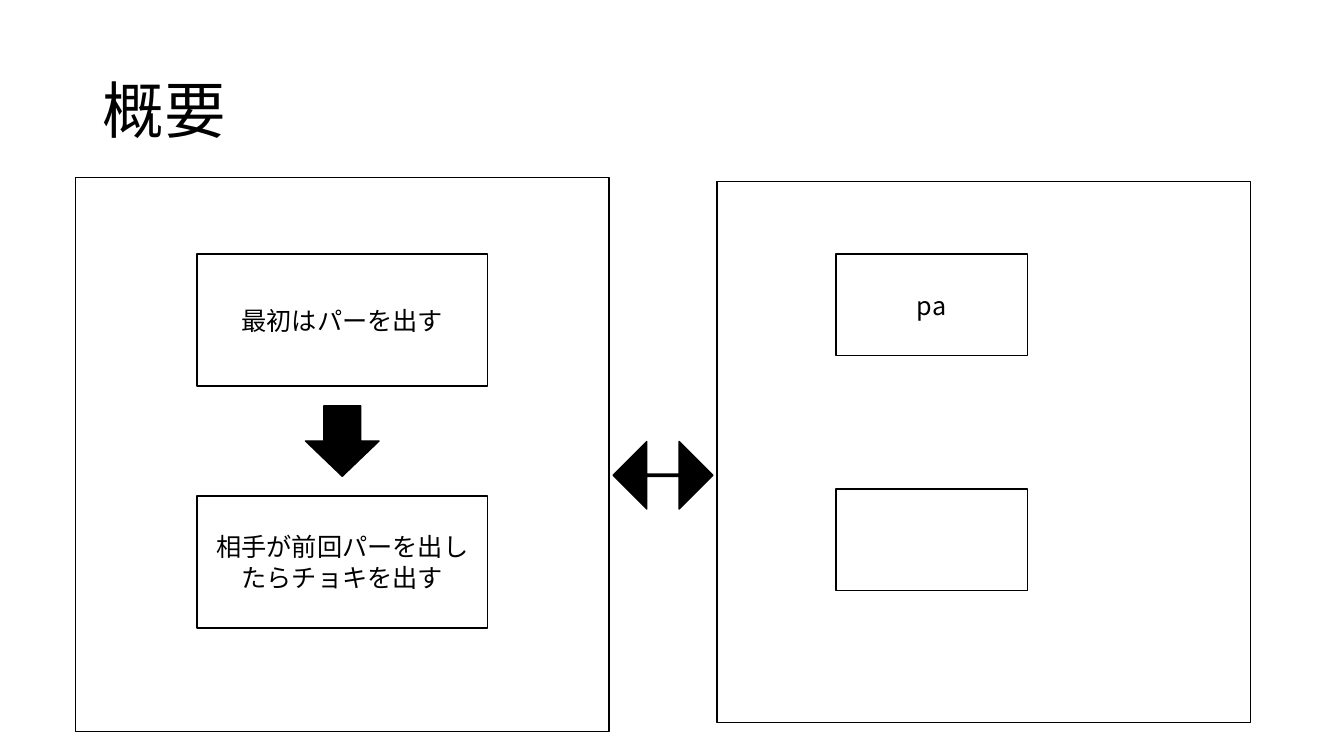
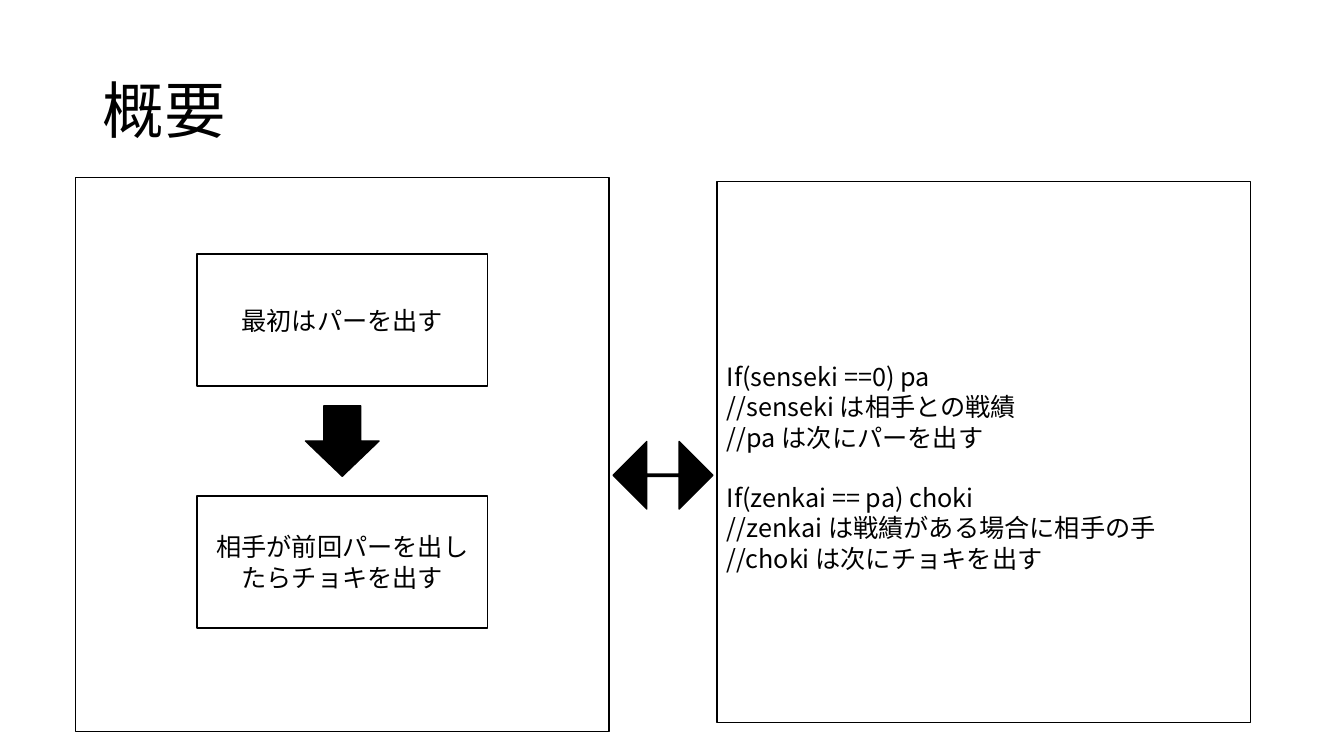
from dataclasses import dataclass
from typing import NamedTuple

from lxml.etree import SubElement
from pptx import Presentation
from pptx.dml.color import RGBColor
from pptx.enum.shapes import MSO_SHAPE
from pptx.enum.text import MSO_ANCHOR, PP_ALIGN
from pptx.oxml.ns import qn
from pptx.util import Inches, Pt


@dataclass(frozen=True)
class Theme:
    """Colours, font and sizes shared by the slides."""
    ink: RGBColor = RGBColor(0, 0, 0)
    paper: RGBColor = RGBColor(255, 255, 255)
    font: str = "Noto Sans CJK JP"
    title_size: Pt = Pt(44)
    body_size: Pt = Pt(18)
    code_gap: Pt = Pt(21.6)
    outline: Pt = Pt(1)


class Box(NamedTuple):
    """A rectangle in inches."""
    left: float
    top: float
    width: float
    height: float

    def lengths(self):
        """Give the four sides as slide lengths."""
        return [Inches(side) for side in self]


THEME = Theme()
TITLE = Box(0.92, 0.4, 11.5, 1.45)
STRATEGY = Box(0.75, 1.76, 5.29, 5.5)
PROGRAM = Box(7.11, 1.8, 5.29, 5.37)
STEPS = ["最初はパーを出す", "相手が前回パーを出したらチョキを出す"]
RULES = [
    ["If(senseki ==0) pa", "//senseki は相手との戦績", "//pa は次にパーを出す"],
    ["If(zenkai == pa) choki", "//zenkai は戦績がある場合に相手の手",
     "//choki は次にチョキを出す"],
]


def style_text(frame, size, align):
    """Apply the theme font and alignment to every paragraph."""
    frame.word_wrap = True
    frame.vertical_anchor = MSO_ANCHOR.MIDDLE
    for paragraph in frame.paragraphs:
        paragraph.alignment = align
        for run in paragraph.runs:
            run.font.size = size
            run.font.name = THEME.font
            run.font.color.rgb = THEME.ink
            SubElement(run.font._element, qn("a:ea"), typeface=THEME.font)


def add_block(slide, box, text="", preset=MSO_SHAPE.RECTANGLE,
              fill=THEME.paper, align=PP_ALIGN.CENTER):
    """Draw an outlined shape with optional text."""
    block = slide.shapes.add_shape(preset, *box.lengths())
    block.shadow.inherit = False
    block.fill.solid()
    block.fill.fore_color.rgb = fill
    block.line.color.rgb = THEME.ink
    block.line.width = THEME.outline
    if text:
        block.text_frame.text = text
        style_text(block.text_frame, THEME.body_size, align)
    return block


def add_title(slide, box, text):
    """Write the slide title."""
    frame = slide.shapes.add_textbox(*box.lengths()).text_frame
    frame.text = text
    style_text(frame, THEME.title_size, PP_ALIGN.LEFT)
    frame.paragraphs[0].line_spacing = 0.9


def add_strategy(slide, box):
    """Draw the strategy panel: two centred steps joined by an arrow."""
    add_block(slide, box)
    width, height, pitch = 2.88, 1.31, 2.4
    arrow_width, arrow_height = 0.73, 0.7
    centre, first_top = box.left + box.width / 2, box.top + 0.76
    for index, step in enumerate(STEPS):
        add_block(slide, Box(centre - width / 2, first_top + index * pitch,
                             width, height), step)
    arrow_top = first_top + (height + pitch - arrow_height) / 2
    add_block(slide, Box(centre - arrow_width / 2, arrow_top,
                         arrow_width, arrow_height),
              preset=MSO_SHAPE.DOWN_ARROW, fill=THEME.ink)


def add_exchange(slide, left_panel, right_panel):
    """Place the two-way arrow in the gap between the panels."""
    width, height = 0.99, 0.67
    centre = (left_panel.left + left_panel.width + right_panel.left) / 2
    exchange = add_block(
        slide, Box(centre - width / 2, right_panel.top + 2.58, width, height),
        preset=MSO_SHAPE.LEFT_RIGHT_ARROW, fill=THEME.ink)
    exchange.adjustments[0] = 0.034
    exchange.adjustments[1] = 0.5


def add_moves(slide, box):
    """Draw the program panel with one named and one open move."""
    add_block(slide, box)
    for index, move in enumerate(["pa", ""]):
        add_block(slide, Box(box.left + 1.18, box.top + 0.72 + index * 2.33,
                             1.9, 1.01), move)


def add_code(slide, box):
    """Draw the program panel with the rules as commented code."""
    text = "\n".join(line for rule in RULES for line in rule)
    frame = add_block(slide, box, text, align=PP_ALIGN.LEFT).text_frame
    frame.margin_top = Inches(0.35)
    frame.paragraphs[len(RULES[0])].space_before = THEME.code_gap


def add_overview(deck, add_program):
    """Add an overview slide whose right panel is drawn by add_program."""
    slide = deck.slides.add_slide(deck.slide_layouts[6])
    add_title(slide, TITLE, "概要")
    add_strategy(slide, STRATEGY)
    add_program(slide, PROGRAM)
    add_exchange(slide, STRATEGY, PROGRAM)


def main():
    """Build and save the deck."""
    deck = Presentation()
    deck.slide_width, deck.slide_height = Inches(13.33), Inches(7.5)
    for add_program in (add_moves, add_code):
        add_overview(deck, add_program)
    deck.save("out.pptx")


main()
